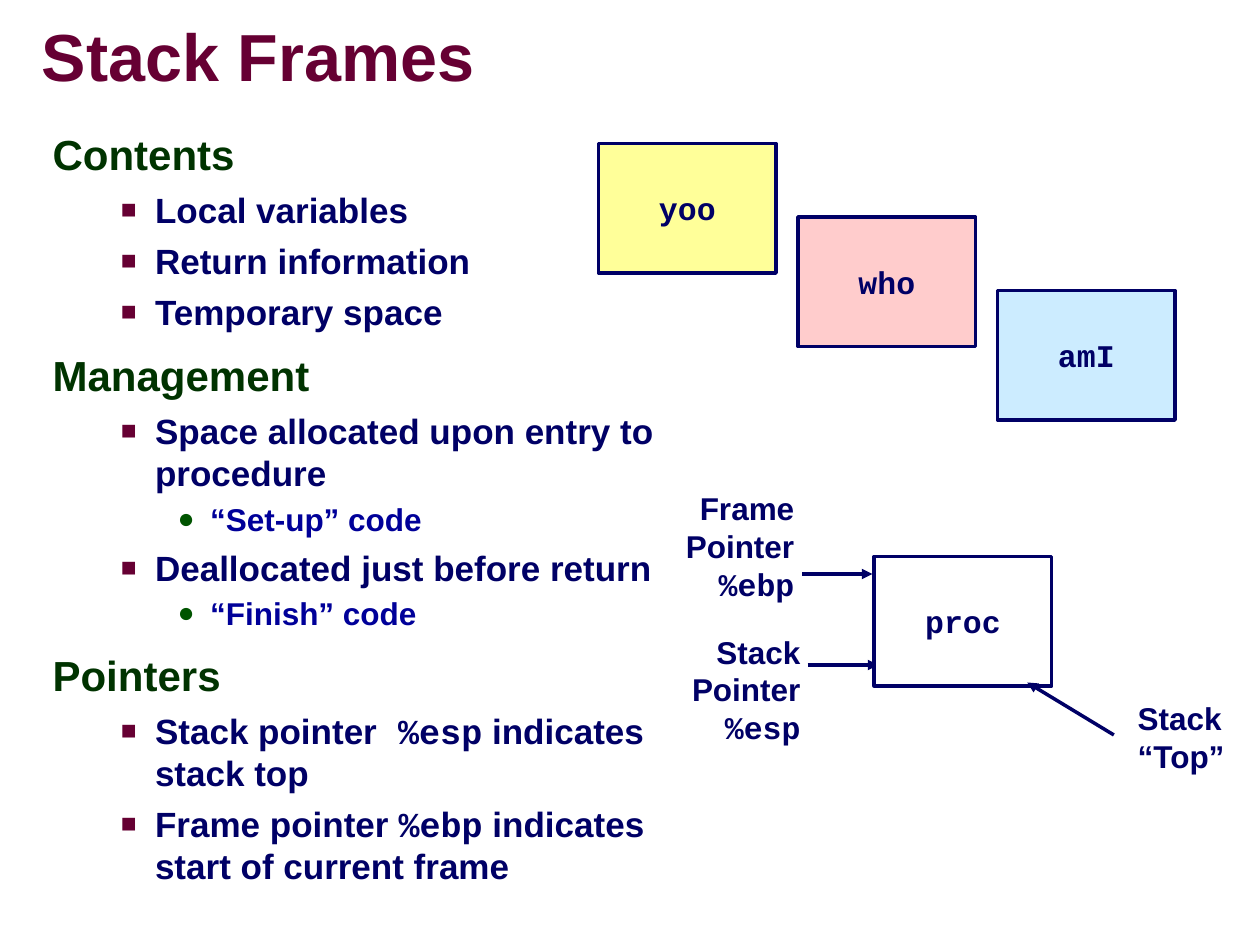
"""Build a slide on the contents, upkeep and pointers of stack frames."""
from lxml import etree
from pptx import Presentation
from pptx import util as u
from pptx.dml.color import RGBColor
from pptx.enum import shapes, text
from pptx.oxml import ns

NAVY = RGBColor(0x00, 0x00, 0x66)
BLUE = RGBColor(0x00, 0x00, 0x99)
WINE = RGBColor(0x66, 0x00, 0x33)
PINE = RGBColor(0x00, 0x33, 0x00)
LEAF = RGBColor(0x00, 0x54, 0x00)
GREY = RGBColor(0x96, 0x96, 0x96)
LEMON = RGBColor(0xFF, 0xFF, 0x99)
PINK = RGBColor(0xFF, 0xCC, 0xCC)
SKY = RGBColor(0xCC, 0xEC, 0xFF)
WHITE = RGBColor(0xFF, 0xFF, 0xFF)
SANS, MONO = "Arial", "Courier New"
LEFT, RIGHT, MID = text.PP_ALIGN.LEFT, text.PP_ALIGN.RIGHT, text.PP_ALIGN.CENTER

# size, colour, left margin, indent, line spacing, space before, bullet
LEVELS = [
    (24, PINE, 30, -30, 0.95, 12, None),
    (20, NAVY, 58.5, -19.5, 1, 5, ("■", WINE, 75)),
    (18, BLUE, 90, -18.5, 1.07, 1.8, ("●", LEAF, 90)),
]
BODY = [
    (0, ["Contents"]),
    (1, ["Local variables"]),
    (1, ["Return information"]),
    (1, ["Temporary space"]),
    (0, ["Management"]),
    (1, ["Space allocated upon entry to procedure"]),
    (2, ["“Set-up” code"]),
    (1, ["Deallocated just before return"]),
    (2, ["“Finish” code"]),
    (0, ["Pointers"]),
    (1, ["Stack pointer", (" %esp", MONO), " indicates stack top"]),
    (1, ["Frame pointer ", ("%ebp", MONO), " indicates start of current frame"]),
]


def sub(parent, tag, **attrs):
    """Append a drawing element with the given attributes."""
    return etree.SubElement(parent, ns.qn(tag), {k: str(v) for k, v in attrs.items()})


class Deck:
    """Hold the style and the current slide."""

    def __init__(self, size=18, ink=NAVY, line=2):
        self.size, self.ink, self.line = size, ink, line
        self.prs = Presentation()
        self.prs.slide_width, self.prs.slide_height = u.Pt(720), u.Pt(540)
        self.slide = self.prs.slides.add_slide(self.prs.slide_layouts[6])

    def runs(self, para, parts, size=None, ink=None):
        for part in parts:
            word, face = (part, SANS) if isinstance(part, str) else part
            run = para.add_run()
            run.text = word
            font = run.font
            font.name, font.size, font.bold = face, u.Pt(size or self.size), True
            font.color.rgb = ink or self.ink

    def frame(self, x, y, w, h, wrap=True):
        box = self.slide.shapes.add_textbox(*map(u.Pt, (x, y, w, h)))
        box.text_frame.word_wrap = wrap
        return box.text_frame

    def title(self, x, y, w, h, words):
        tf = self.frame(x, y, w, h)
        tf.margin_left = tf.margin_right = tf.margin_top = tf.margin_bottom = 0
        tf.vertical_anchor = text.MSO_ANCHOR.MIDDLE
        para = tf.paragraphs[0]
        para.line_spacing = 0.87
        self.runs(para, [words], 38, WINE)
        props = para.runs[0].font._element
        glow = sub(props, "a:effectLst")
        props.find(ns.qn("a:solidFill")).addnext(glow)
        shade = sub(glow, "a:outerShdw", dist=u.Pt(2.8), dir=2700000, algn="ctr")
        sub(shade, "a:srgbClr", val=GREY)

    def body(self, x, y, w, h, items):
        tf = self.frame(x, y, w, h)
        for i, (level, parts) in enumerate(items):
            para = tf.add_paragraph() if i else tf.paragraphs[0]
            size, ink, left, hang, gap, lead, mark = LEVELS[level]
            para.level, para.line_spacing, para.space_before = level, gap, u.Pt(lead)
            props = para._p.get_or_add_pPr()
            props.set("marL", str(u.Pt(left)))
            props.set("indent", str(u.Pt(hang)))
            if mark:
                sign, hue, scale = mark
                sub(sub(props, "a:buClr"), "a:srgbClr", val=hue)
                sub(props, "a:buSzPct", val=scale * 1000)
                sub(props, "a:buFont", typeface=SANS)
                sub(props, "a:buChar", char=sign)
            self.runs(para, parts, size, ink)

    def label(self, x, y, w, h, lines, align=RIGHT):
        tf = self.frame(x, y, w, h, wrap=False)
        for i, part in enumerate(lines):
            para = tf.add_paragraph() if i else tf.paragraphs[0]
            para.alignment = align
            self.runs(para, [part])

    def box(self, x, y, name, fill):
        rect = self.slide.shapes.add_shape(
            shapes.MSO_SHAPE.RECTANGLE, *map(u.Pt, (x, y, 101.5, 74)))
        rect.shadow.inherit = False
        rect.fill.solid()
        rect.fill.fore_color.rgb = fill
        rect.line.color.rgb, rect.line.width = self.ink, u.Pt(self.line)
        tf = rect.text_frame
        tf.vertical_anchor = text.MSO_ANCHOR.MIDDLE
        tf.paragraphs[0].alignment = MID
        self.runs(tf.paragraphs[0], [(name, MONO)])

    def arrow(self, *ends):
        link = self.slide.shapes.add_connector(
            shapes.MSO_CONNECTOR.STRAIGHT, *map(u.Pt, ends))
        link.line.color.rgb, link.line.width = self.ink, u.Pt(self.line)
        sub(link.line._get_or_add_ln(), "a:tailEnd", type="triangle")
        sub(link._element.spPr, "a:effectLst")


def main():
    deck = Deck()
    deck.arrow(461.5, 380, 502, 380)
    deck.label(388, 358, 76.5, 72, ["Stack", "Pointer", ("%esp", MONO)])
    for i, (name, fill) in enumerate([("yoo", LEMON), ("who", PINK), ("amI", SKY)]):
        deck.box(342 + 114 * i, 82 + 42 * i, name, fill)
    deck.box(499.5, 318, "proc", WHITE)
    deck.arrow(458.5, 328, 498.5, 328)
    deck.label(384.5, 276, 76.5, 72, ["Frame", "Pointer", ("%ebp", MONO)])
    deck.arrow(636.5, 420, 587, 390)
    deck.label(643, 396, 65.5, 50.5, ["Stack", "“Top”"], LEFT)
    deck.title(24, 12, 396, 45.5, "Stack Frames")
    deck.body(23, 72, 397.5, 411, BODY)
    deck.prs.save("out.pptx")


if __name__ == "__main__":
    main()
